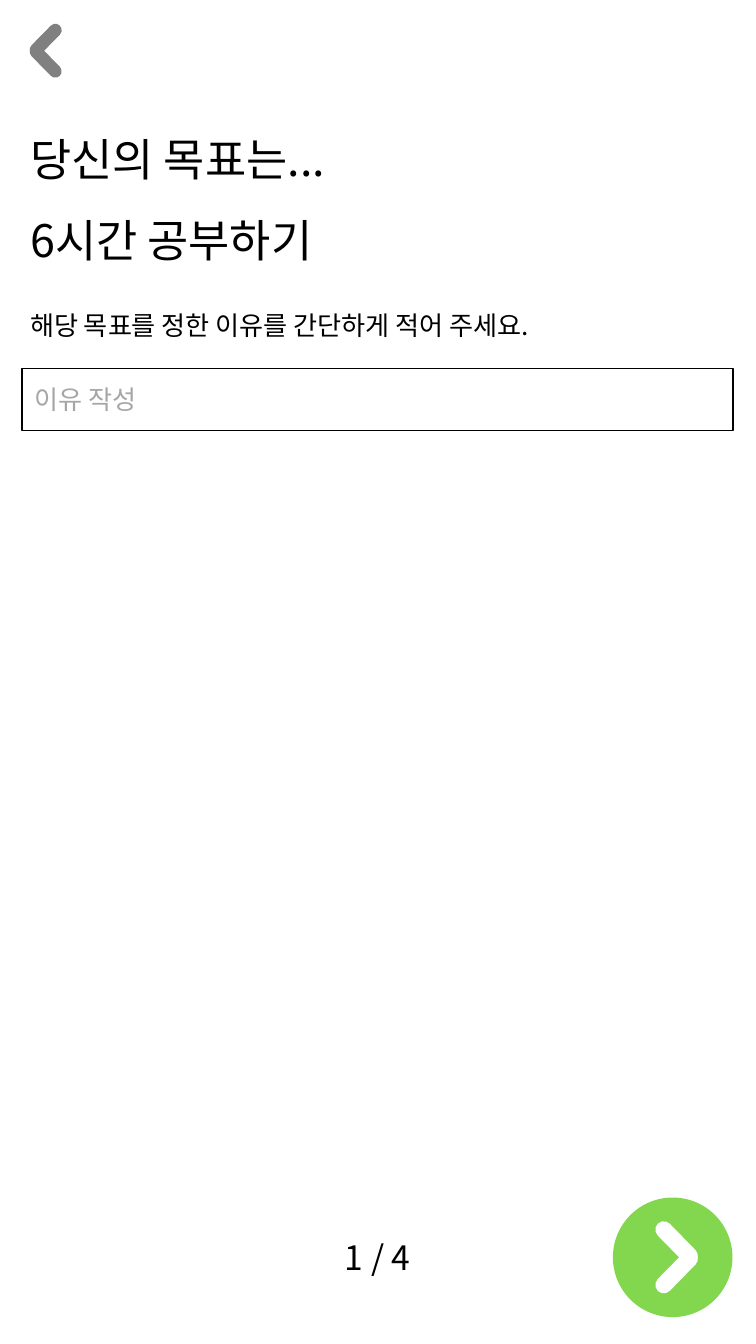
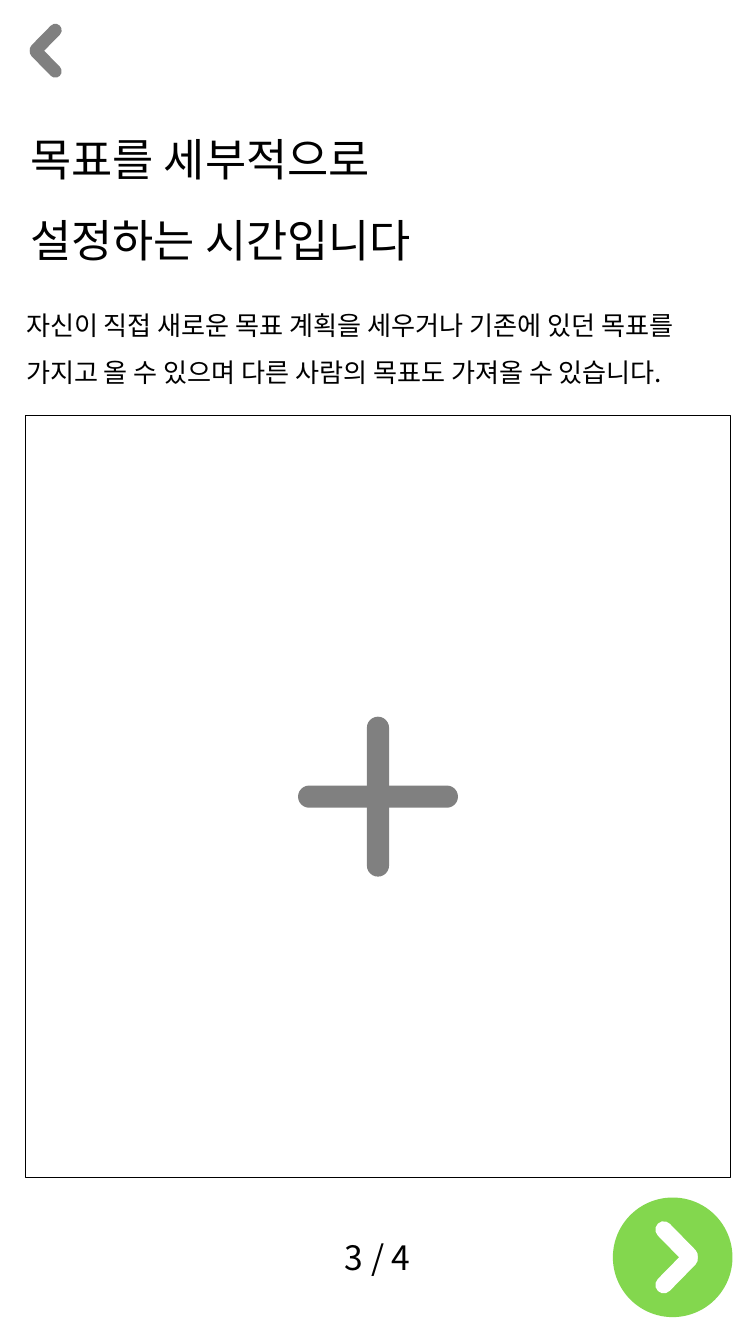
from lxml import etree
from pptx import Presentation
from pptx import util as u
from pptx.dml.color import RGBColor
from pptx.enum import shapes, text
from pptx.oxml.ns import qn

FONT = "Noto Sans CJK KR"
BLACK, WHITE, GRAY, PALE, GREEN = "000000", "FFFFFF", "808080", "A6A6A6", "83D74E"
KIND = shapes.MSO_SHAPE
TILT = 45.6


def color(code):
    """Turn a hex string into a colour."""
    return RGBColor.from_string(code)


def place(shape, box):
    """Move a shape to a box given in inches."""
    shape.left, shape.top, shape.width, shape.height = map(u.Inches, box)


def write(frame, lines, size, ink=BLACK, align=text.PP_ALIGN.LEFT, space=1.0):
    """Fill a text frame with formatted lines."""
    frame.text = "\n".join(lines)
    for para in frame.paragraphs:
        para.alignment = align
        para.line_spacing = space
        for run in para.runs:
            run.font.size = u.Pt(size)
            run.font.name = FONT
            run.font.color.rgb = color(ink)
            east = etree.SubElement(run.font._element, qn("a:ea"))
            east.set("typeface", FONT)


def block(shape, box, lines, size):
    """Write loose, unwrapped lines in a box that fits its text."""
    place(shape, box)
    frame = shape.text_frame
    frame.word_wrap = False
    frame.auto_size = text.MSO_AUTO_SIZE.SHAPE_TO_FIT_TEXT
    frame.vertical_anchor = text.MSO_ANCHOR.TOP
    write(frame, lines, size, space=1.5)


def draw(parent, kind, box, fill, edge=None, turn=0):
    """Add a flat shape, with a black edge if a width is given."""
    shape = parent.shapes.add_shape(kind, *map(u.Inches, box))
    shape.shadow.inherit = False
    shape.fill.solid()
    shape.fill.fore_color.rgb = color(fill)
    if edge:
        shape.line.color.rgb = color(BLACK)
        shape.line.width = u.Pt(edge)
    else:
        shape.line.fill.background()
    shape.rotation = turn
    if kind == KIND.ROUNDED_RECTANGLE:
        shape.adjustments[0] = 0.5
    return shape


def pill(parent, box, fill, turn=0):
    """Add a bar with round ends."""
    return draw(parent, KIND.ROUNDED_RECTANGLE, box, fill, turn=turn)


def arrow(group, box, drop, fill, tilt):
    """Join two tilted bars, the second one lower by drop."""
    left, top, width, height = box
    pill(group, box, fill, tilt % 360)
    pill(group, (left, top + drop, width, height), fill, -tilt % 360)


def back(slide):
    """Add the back arrow at the top left."""
    group = slide.shapes.add_group_shape()
    arrow(group, (0.38, 0.5, 0.6, 0.19), 0.32, GRAY, -TILT)


def footer(slide, page):
    """Add the page count and the round next button."""
    count = pill(slide, (4.08, 18.37, 3.08, 0.67), WHITE)
    count.text_frame.vertical_anchor = text.MSO_ANCHOR.MIDDLE
    write(count.text_frame, [f"{page} / 4"], 36, align=text.PP_ALIGN.CENTER)
    left, top, side = 9.12, 17.82, 1.78
    group = slide.shapes.add_group_shape()
    draw(group, KIND.OVAL, (left, top, side, side), GREEN)
    arrow(group, (left + 0.55, top + 0.55, 0.8, 0.25), 0.43, WHITE, TILT)


def field(slide, box, hint):
    """Add an input field with a pale hint."""
    shape = draw(slide, KIND.RECTANGLE, box, WHITE, 1.5)
    frame = shape.text_frame
    frame.margin_left = u.Inches(0.19)
    frame.vertical_anchor = text.MSO_ANCHOR.MIDDLE
    write(frame, [hint], 28, PALE)


def panel(slide, box):
    """Add an empty panel with a plus sign at its centre."""
    draw(slide, KIND.RECTANGLE, box, WHITE, 1)
    left, top, width, height = box
    size, thick = 2.38, 0.33
    bar = (left + (width - size) / 2, top + (height - thick) / 2, size, thick)
    group = slide.shapes.add_group_shape()
    for turn in (0, 270):
        pill(group, bar, GRAY, turn)


def screen(deck, page, title, wide, note, box):
    """Add a screen with its title, note, back arrow and footer."""
    slide = deck.slides.add_slide(deck.slide_layouts[5])
    block(slide.shapes.title, (0.35, 1.51, wide, 2.38), title, 48)
    block(slide.shapes.add_textbox(0, 0, 0, 0), box, note, 28)
    back(slide)
    footer(slide, page)
    return slide


def main():
    """Build and save both screens."""
    deck = Presentation()
    deck.slide_width, deck.slide_height = u.Inches(11.25), u.Inches(20)

    reason = screen(deck, 1, ["당신의 목표는...", "6시간 공부하기"], 4.8,
                    ["해당 목표를 정한 이유를 간단하게 적어 주세요."],
                    (0.35, 4.32, 8.01, 0.73))
    field(reason, (0.33, 5.48, 10.58, 0.93), "이유 작성")

    detail = screen(deck, 3, ["목표를 세부적으로", "설정하는 시간입니다"], 6.29,
                    ["자신이 직접 새로운 목표 계획을 세우거나 기존에 있던 목표를",
                     "가지고 올 수 있으며 다른 사람의 목표도 가져올 수 있습니다."],
                    (0.29, 4.32, 10.33, 1.43))
    panel(detail, (0.38, 6.19, 10.49, 11.33))

    deck.save("out.pptx")


if __name__ == "__main__":
    main()
